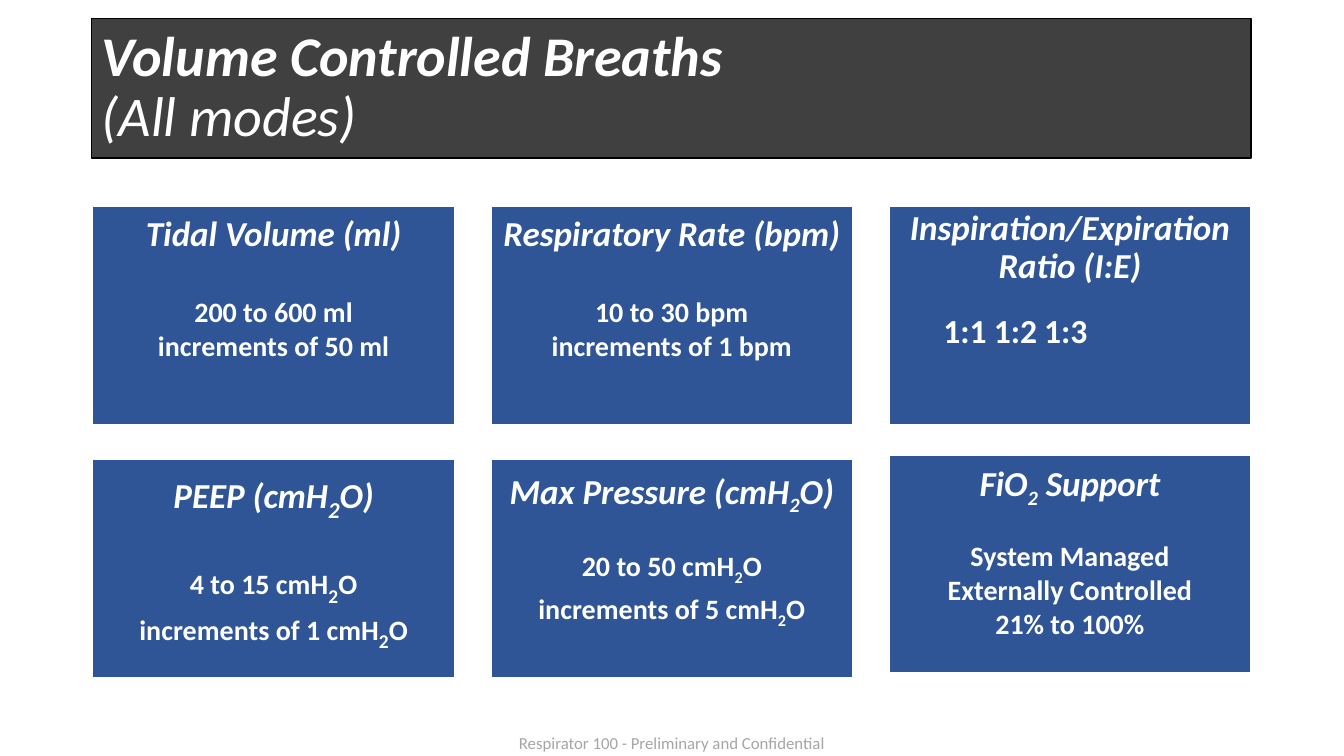
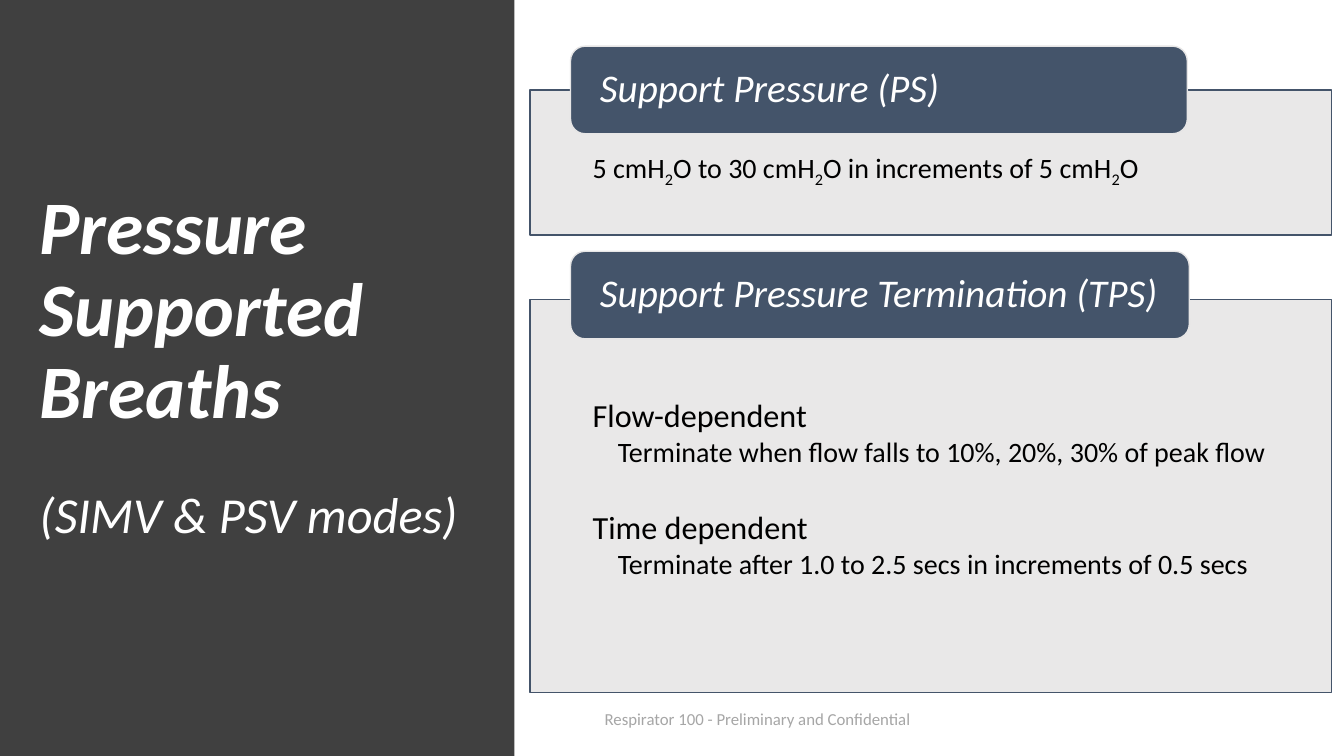
from lxml import etree
from pptx import Presentation
from pptx.dml.color import RGBColor
from pptx.enum.shapes import MSO_SHAPE
from pptx.enum.text import MSO_ANCHOR, MSO_AUTO_SIZE, PP_ALIGN
from pptx.oxml.ns import qn
from pptx.util import Pt

RECTANGLE, ROUNDED = MSO_SHAPE.RECTANGLE, MSO_SHAPE.ROUNDED_RECTANGLE
TOP, MIDDLE = MSO_ANCHOR.TOP, MSO_ANCHOR.MIDDLE
LEFT, CENTER = PP_ALIGN.LEFT, PP_ALIGN.CENTER
COLORS = {
    "band": "404040", "card": "2F5597", "header": "44546A", "panel": "E7E6E6",
    "white": "FFFFFF", "black": "000000", "footer": "A6A6A6",
}
FONT = "Calibri"
TITLE_ONLY = 5
FOOTER = "Respirator 100 - Preliminary and Confidential"
LINE_GAP = 2.7


class Deck:
    def __init__(self):
        self.presentation = Presentation()
        self.presentation.slide_width = Pt(960)
        self.presentation.slide_height = Pt(540)
        self.slide = None

    def add_slide(self):
        layout = self.presentation.slide_layouts[TITLE_ONLY]
        self.slide = self.presentation.slides.add_slide(layout)

    def paint(self, shape, fill, line=None, opacity=None):
        shape.fill.solid()
        shape.fill.fore_color.rgb = RGBColor.from_string(COLORS[fill])
        if opacity:
            color = shape._element.spPr.find(f"{qn('a:solidFill')}/{qn('a:srgbClr')}")
            etree.SubElement(color, qn("a:alpha"), val=str(opacity * 1000))
        if line:
            shape.line.color.rgb = RGBColor.from_string(COLORS[line])
            shape.line.width = Pt(1)
        else:
            shape.line.fill.background()

    def box(self, bounds, fill, line=None, kind=RECTANGLE, opacity=None):
        shape = self.slide.shapes.add_shape(kind, *map(Pt, bounds))
        shape.shadow.inherit = False
        self.paint(shape, fill, line, opacity)
        return shape

    def frame(self, shape, anchor=TOP, insets=(7.2, 3.6, 7.2, 3.6)):
        frame = shape.text_frame
        frame.word_wrap = True
        frame.auto_size = MSO_AUTO_SIZE.NONE
        frame.vertical_anchor = anchor
        (frame.margin_left, frame.margin_top,
         frame.margin_right, frame.margin_bottom) = map(Pt, insets)
        return frame

    def add_text(self, frame, text, size, color="white", bold=False, italic=False,
                 before=0, align=LEFT, indent=0, subscript=None, tabs=()):
        """Append a paragraph; each ₂ becomes a lowered 2 of the subscript size."""
        paragraph = frame.paragraphs[0]
        if paragraph.runs:
            paragraph = frame.add_paragraph()
        paragraph.alignment = align
        paragraph.line_spacing = 0.9
        paragraph.space_before, paragraph.space_after = Pt(before), Pt(0)
        properties = paragraph._p.get_or_add_pPr()
        properties.set("marL", str(Pt(indent)))
        properties.set("indent", "0")
        if tabs:
            tab_list = etree.SubElement(properties, qn("a:tabLst"))
            for position in tabs:
                etree.SubElement(tab_list, qn("a:tab"), pos=str(Pt(position)), algn="ctr")
        for index, part in enumerate(text.split("₂")):
            if index:
                lowered = self.add_run(paragraph, "2", subscript or size, color, bold, italic)
                lowered._r.get_or_add_rPr().set("baseline", "-25000")
            self.add_run(paragraph, part, size, color, bold, italic)

    def add_run(self, paragraph, text, size, color, bold, italic):
        run = paragraph.add_run()
        run.text = text
        run.font.name, run.font.size = FONT, Pt(size)
        run.font.bold, run.font.italic = bold, italic
        run.font.color.rgb = RGBColor.from_string(COLORS[color])
        return run

    def title(self, bounds, text, size, subtitle, subtitle_size, before=0):
        shape = self.slide.shapes.title
        shape.left, shape.top, shape.width, shape.height = map(Pt, bounds)
        frame = self.frame(shape, MIDDLE)
        self.add_text(frame, text, size, bold=True, italic=True)
        self.add_text(frame, subtitle, subtitle_size, italic=True, before=before)
        return shape

    def footer(self, bounds, align):
        shape = self.slide.shapes.add_textbox(*map(Pt, bounds))
        frame = self.frame(shape, MIDDLE, (7.2, 0, 7.2, 0))
        self.add_text(frame, FOOTER, 12, "footer", align=align)

    def card(self, bounds, heading, values, gap, inset=7.2, value_size=20,
             subscripts=(None, None), line_gap=LINE_GAP, tabs=()):
        frame = self.frame(self.box(bounds, "card", "white"), TOP, [inset] * 4)
        self.add_text(frame, heading, 25, bold=True, italic=True, align=CENTER,
                      subscript=subscripts[0])
        for index, value in enumerate(values):
            self.add_text(frame, value, value_size, bold=True, tabs=tabs,
                          align=LEFT if tabs else CENTER, subscript=subscripts[1],
                          before=line_gap if index else gap)

    def panel(self, top, height, inset_top, lines):
        """Lines are (text, size, indent, space before)."""
        shape = self.box((378.7, top, 572.4, height), "panel", "header", opacity=90)
        frame = self.frame(shape, TOP, (44.6, inset_top, 30, 11.5))
        for text, size, indent, before in lines:
            self.add_text(frame, text, size, "black", indent=indent, before=before)

    def header(self, top, width, text):
        shape = self.box((407.5, top, width, 62.6), "header", "panel", ROUNDED)
        frame = self.frame(shape, MIDDLE, (18, 0, 15, 0))
        self.add_text(frame, text, 28, italic=True)


def volume_slide(deck):
    deck.add_slide()
    title = deck.title((65.5, 13, 828, 100), "Volume Controlled Breaths", 40,
                       "(All modes)", 40)
    deck.paint(title, "band", "black")
    cards = [
        dict(heading="Tidal Volume (ml)", gap=31.5,
             values=["200 to 600 ml", "increments of 50 ml"]),
        dict(heading="Respiratory Rate (bpm)", gap=31.5,
             values=["10 to 30 bpm", "increments of 1 bpm"]),
        dict(heading="Inspiration/Expiration Ratio (I:E)", gap=20.5, inset=2.9,
             values=["\t1:1\t1:2\t1:3"], value_size=24, tabs=(76, 129, 176)),
        dict(heading="PEEP (cmH₂O)", gap=31.5, subscripts=(28, 24),
             values=["4 to 15 cmH₂O", "increments of 1 cmH₂O"]),
        dict(heading="Max Pressure (cmH₂O)", gap=25.8, line_gap=6.3,
             values=["20 to 50 cmH₂O", "increments of 5 cmH₂O"]),
        dict(heading="FiO₂ Support", gap=26.5, inset=5,
             values=["System Managed", "Externally Controlled", "21% to 100%"]),
    ]
    tops = [147.6] * 3 + [328.3, 328.3, 325.4]
    for index, (card, top) in enumerate(zip(cards, tops)):
        deck.card((66.2 + index % 3 * 284.4, top, 258.5, 155.5), **card)
    deck.footer((318, 523, 324, 17), CENTER)


def pressure_slide(deck):
    deck.add_slide()
    band = deck.box((0, 0, 367.5, 540), "band")
    title = deck.title((21, 49, 337, 426), "Pressure Supported Breaths", 54,
                       "(SIMV & PSV modes)", 36, before=39.5)
    title._element.addprevious(band._element)
    deck.footer((424.8, 506, 353, 17), LEFT)
    deck.panel(64.2, 103.7, 43.9,
               [("5 cmH₂O to 30 cmH₂O in increments of 5 cmH₂O", 20, 0, 0)])
    deck.header(33, 440.6, "Support Pressure (PS)")
    deck.panel(213.8, 280.8, 71.9, [
        ("Flow-dependent", 23, 0, 0),
        ("Terminate when flow falls to 10%, 20%, 30% of peak flow", 20, 18, LINE_GAP),
        ("Time dependent", 23, 0, 30.7),
        ("Terminate after 1.0 to 2.5 secs in increments of 0.5 secs", 20, 18, LINE_GAP),
    ])
    deck.header(179.5, 442, "Support Pressure Termination (TPS)")


def main():
    deck = Deck()
    volume_slide(deck)
    pressure_slide(deck)
    deck.presentation.save("out.pptx")


if __name__ == "__main__":
    main()
